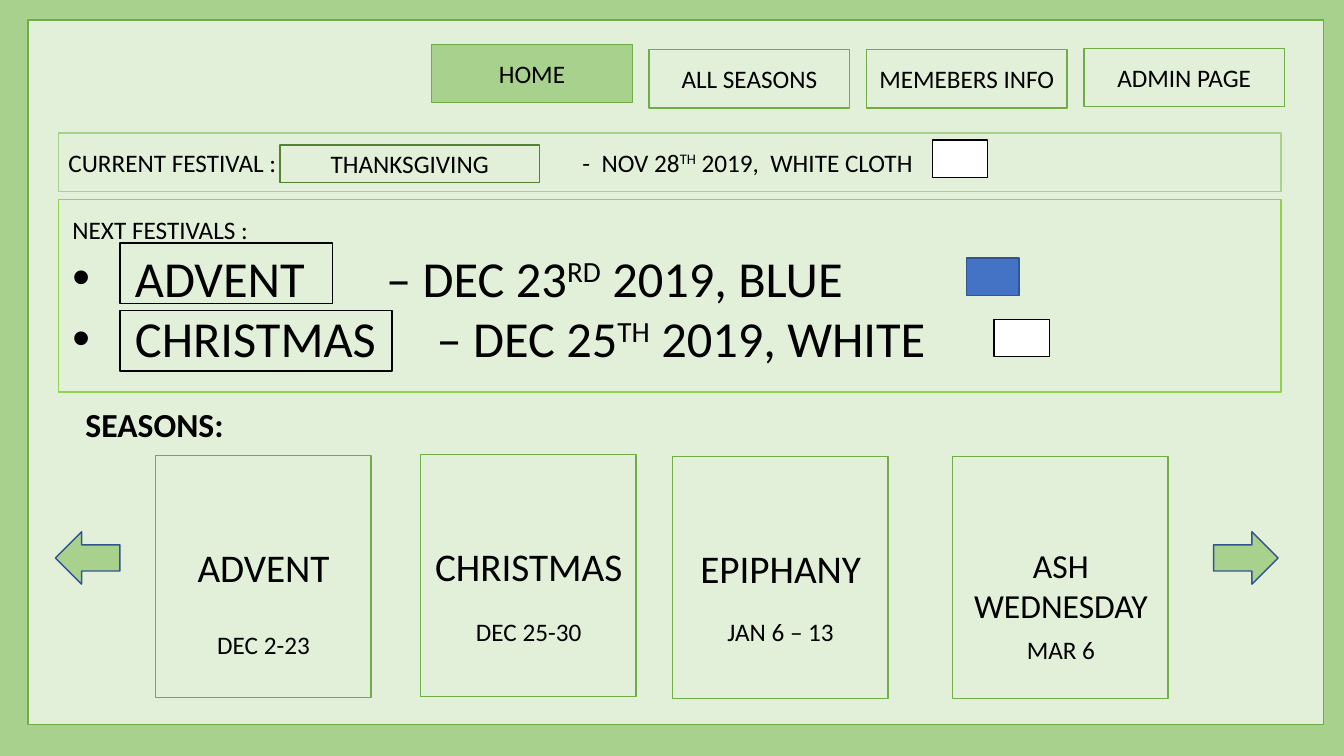
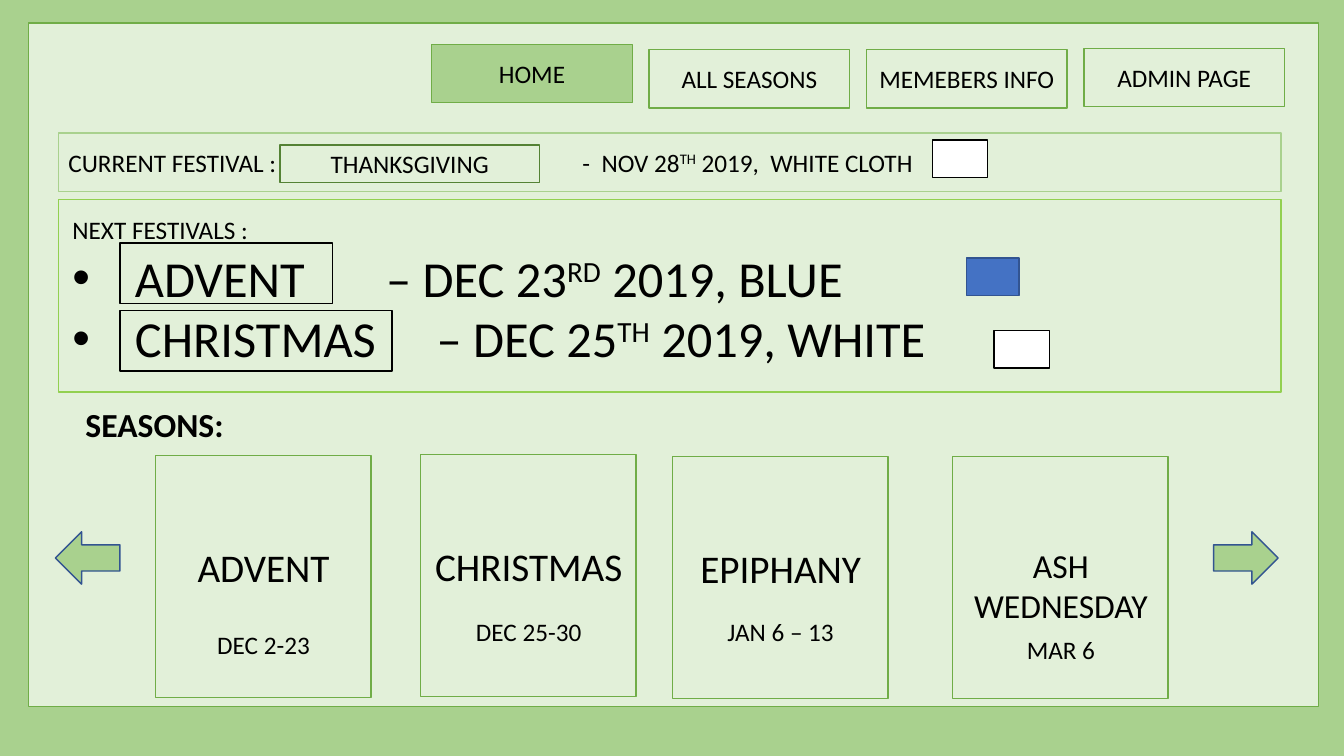
from pptx import Presentation
from pptx.dml.color import RGBColor
from pptx.enum.shapes import MSO_SHAPE as Shape
from pptx.enum.text import MSO_ANCHOR as Anchor, PP_ALIGN as Align
from pptx.oxml.ns import qn
from pptx.util import Inches, Pt
from lxml.etree import SubElement

WIDTH, HEIGHT = Inches(13.333), Inches(7.5)
COLUMNS, ROWS = 160, 90
FONT = "Calibri"
LEAF, PALE, GREEN = "A9D18E", "E2F0D9", "70AD47"
LIME, MOSS = "92D050", "548235"
BLUE, NAVY, WHITE, BLACK = "4472C4", "325491", "FFFFFF", "000000"

PANEL_LEFT, PANEL_WIDTH = 6.96, 145.56
SWATCH = 6.6, 4.44
CARD = 25.68, 28.8

NAV = [("HOME", 5.28), ("ALL SEASONS", 5.88), ("MEMEBERS INFO", 5.88), ("ADMIN PAGE", 5.76)]
# name, name size, date, card column, card row, date row
SEASONS = [
    ("ADVENT", 28, "DEC 2-23", 18.48, 54.24, 74.28),
    ("CHRISTMAS", 28, "DEC 25-30", 50.04, 54.12, 72.84),
    ("EPIPHANY", 28, "JAN 6 – 13", 80.04, 54.36, 72.84),
    ("ASH WEDNESDAY", 24, "MAR 6", 113.4, 54.36, 74.88),
]
NEXT_FESTIVALS = ["ADVENT\t\t – DEC 23^RD^ 2019, BLUE", "CHRISTMAS \t – DEC 25^TH^ 2019, WHITE"]


def rgb(value):
    return RGBColor.from_string(value)


def place(column, row, columns, rows):
    """Turn grid units into slide lengths."""
    across, down = WIDTH / COLUMNS, HEIGHT / ROWS
    return [int(n) for n in (column * across, row * down, columns * across, rows * down)]


def write(frame, *lines, size=18, bold=False, align=Align.LEFT, anchor=Anchor.TOP,
          wrap=True, bullet_indent=None, tab=None):
    """Fill a text frame; words between ^ marks are superscript."""
    frame.word_wrap = wrap
    frame.vertical_anchor = anchor
    for index, line in enumerate(lines):
        paragraph = frame.add_paragraph() if index else frame.paragraphs[0]
        paragraph.alignment = align
        properties = paragraph._p.get_or_add_pPr()
        if bullet_indent:
            properties.set("marL", str(bullet_indent))
            properties.set("indent", str(-bullet_indent))
            SubElement(properties, qn("a:buFont"), typeface="Arial")
            SubElement(properties, qn("a:buChar"), char="•")
        if tab:
            stops = SubElement(properties, qn("a:tabLst"))
            SubElement(stops, qn("a:tab"), pos=str(tab), algn="l")
        for part, words in enumerate(line.split("^")):
            run = paragraph.add_run()
            run.text = words
            font = run.font
            font.name, font.size, font.bold = FONT, Pt(size), bold
            font.color.rgb = rgb(BLACK)
            if part % 2:
                run._r.get_or_add_rPr().set("baseline", "30000")


def box(slide, area, fill=PALE, line=GREEN, kind=Shape.RECTANGLE, text=None, **style):
    shape = slide.shapes.add_shape(kind, *place(*area))
    shape.shadow.inherit = False
    if fill:
        shape.fill.solid()
        shape.fill.fore_color.rgb = rgb(fill)
    else:
        shape.fill.background()
    shape.line.color.rgb = rgb(line)
    shape.line.width = Pt(1)
    if text:
        write(shape.text_frame, text, anchor=Anchor.MIDDLE, **style)


def label(slide, area, *lines, **style):
    write(slide.shapes.add_textbox(*place(*area)).text_frame, *lines, **style)


def navigation(slide):
    for index, (page, row) in enumerate(NAV):
        box(slide, (51.4 + 25.88 * index, row, 23.88, 6.96), fill=PALE if index else LEAF,
            text=page, align=Align.CENTER)


def current_festival(slide):
    box(slide, (PANEL_LEFT, 15.84, PANEL_WIDTH, 6.96), line=LEAF, tab=Inches(5.1),
        text="CURRENT FESTIVAL :\t-  NOV 28^TH^ 2019,  WHITE CLOTH")
    box(slide, (33.36, 17.28, 30.84, 4.44), line=MOSS, text="THANKSGIVING", align=Align.CENTER)
    box(slide, (111, 16.68, *SWATCH), WHITE, BLACK)


def next_festivals(slide, white_row):
    box(slide, (PANEL_LEFT, 23.76, PANEL_WIDTH, 22.92), line=LIME)
    label(slide, (7.44, 28.8, 145.08, 26.64), *NEXT_FESTIVALS, size=36, bullet_indent=Inches(0.62))
    label(slide, (7.44, 24.96, 75.24, 4.8), "NEXT FESTIVALS :")
    box(slide, (115.08, 30.72, 6.24, 4.44), BLUE, NAVY)
    box(slide, (118.32, white_row, *SWATCH), WHITE, BLACK)
    for row, columns in ((28.92, 25.32), (36.96, 32.4)):
        box(slide, (14.28, row, columns, 7.2), None, BLACK)


def seasons(slide):
    label(slide, (9, 47.52, 19.08, 6), "SEASONS:", size=24, bold=True, wrap=False)
    for kind, column in ((Shape.LEFT_ARROW, 6.6), (Shape.RIGHT_ARROW, 144.48)):
        box(slide, (column, 63.3, 7.68, 6.24), LEAF, NAVY, kind)
    for name, size, date, column, row, date_row in SEASONS:
        box(slide, (column, row, *CARD))
        label(slide, (column + 0.12, row + 9.9, 25.56, 6.84), name, size=size, align=Align.CENTER)
        label(slide, (column + 0.12, date_row, 25.56, 4.8), date, align=Align.CENTER)


def home_page(deck, frame, white_row):
    slide = deck.slides.add_slide(deck.slide_layouts[6])
    slide.background.fill.solid()
    slide.background.fill.fore_color.rgb = rgb(LEAF)
    box(slide, frame)
    next_festivals(slide, white_row)
    seasons(slide)
    current_festival(slide)
    navigation(slide)


def main():
    deck = Presentation()
    deck.slide_width, deck.slide_height = WIDTH, HEIGHT
    home_page(deck, frame=(3.36, 2.4, 154.2, 83.88), white_row=38.04)
    home_page(deck, frame=(3.36, 2.76, 153.6, 81.36), white_row=39.36)
    deck.save("out.pptx")


if __name__ == "__main__":
    main()
